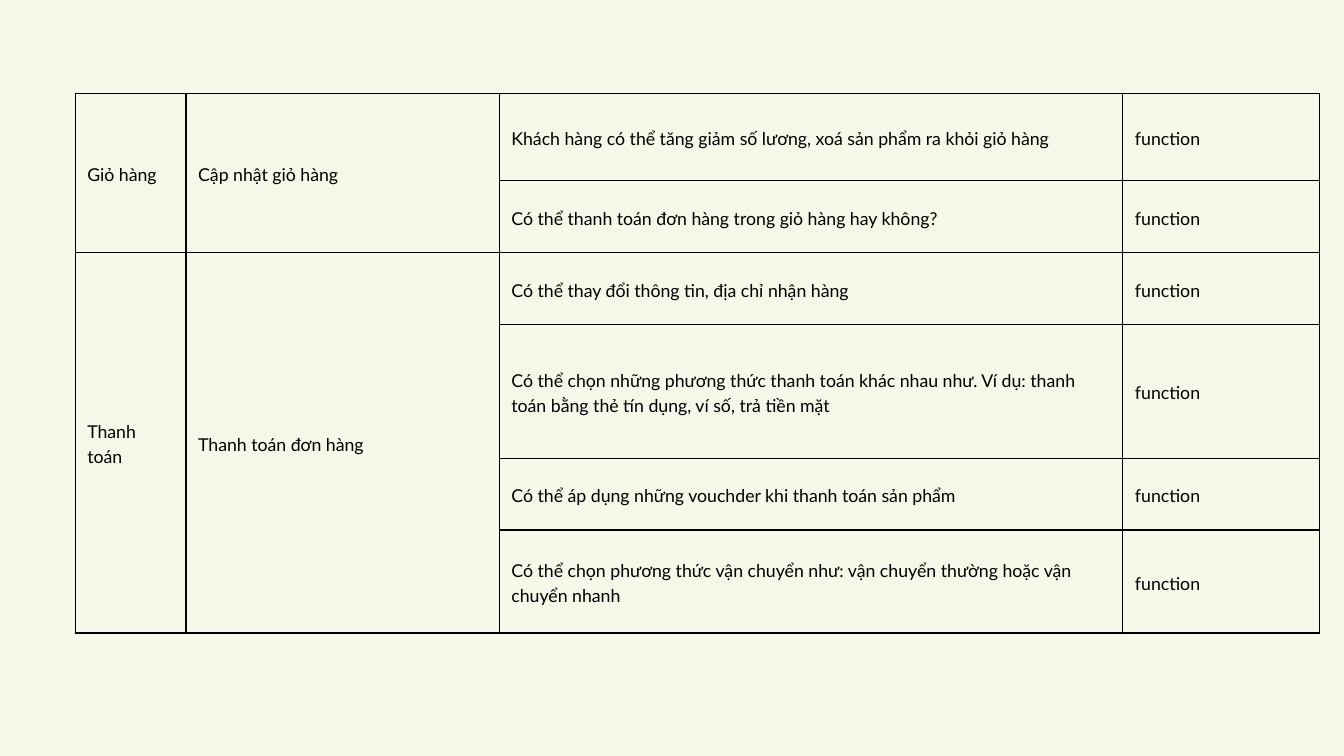
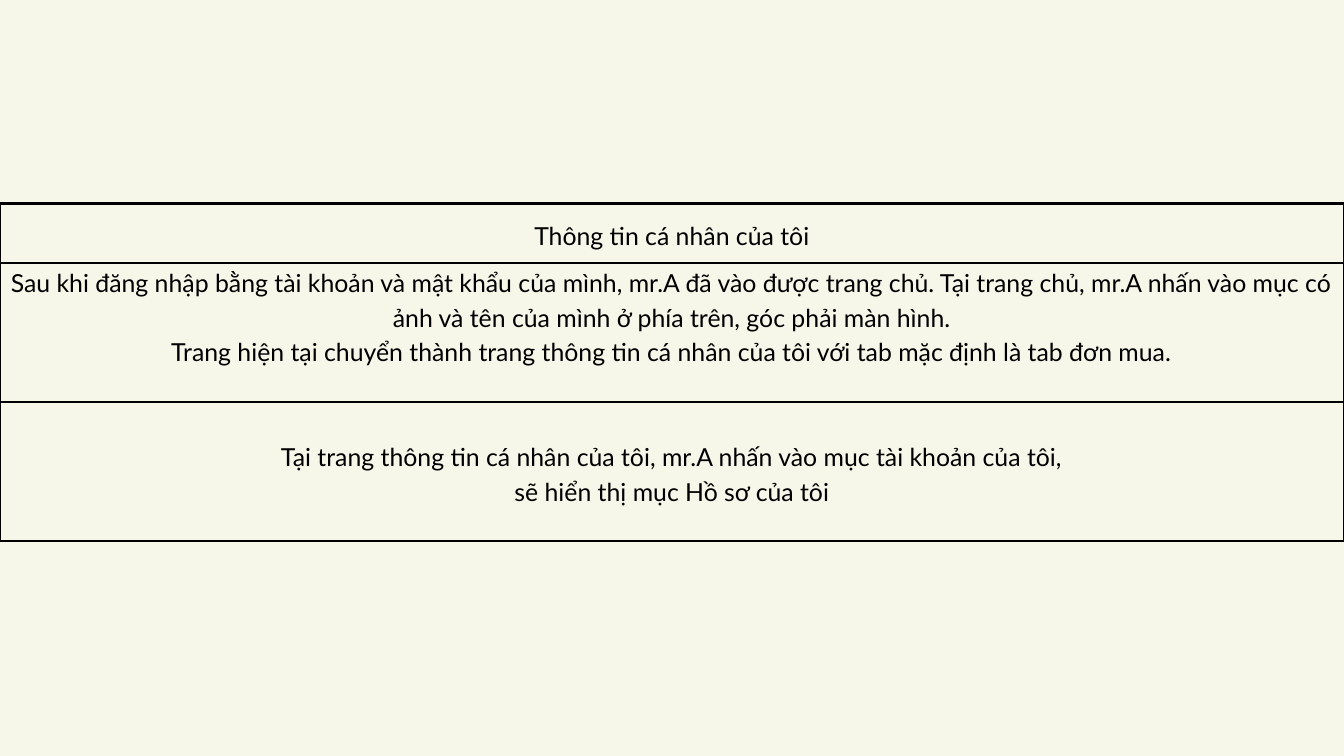
from lxml import etree
from pptx import Presentation
from pptx.dml.color import RGBColor
from pptx.enum.text import MSO_ANCHOR, PP_ALIGN
from pptx.oxml.ns import qn
from pptx.util import Cm, Pt

COLORS = {"background": "F6F6E9", "ink": "000000"}
FONT = "Lato"
BLANK_LAYOUT = 6

FEATURE_COLS = [4.19, 11.84, 23.57, 7.44]
FEATURE_ROWS = [3.3, 2.72, 2.72, 5.05, 2.72, 3.89]
FEATURES = [
    ("Giỏ hàng", "Cập nhật giỏ hàng", [
        "Khách hàng có thể tăng giảm số lương, xoá sản phẩm ra khỏi giỏ hàng",
        "Có thể thanh toán đơn hàng trong giỏ hàng hay không?",
    ]),
    ("Thanh toán", "Thanh toán đơn hàng", [
        "Có thể thay đổi thông tin, địa chỉ nhận hàng",
        "Có thể chọn những phương thức thanh toán khác nhau như. "
        "Ví dụ: thanh toán bằng thẻ tín dụng, ví số, trả tiền mặt",
        "Có thể áp dụng những vouchder khi thanh toán sản phẩm",
        "Có thể chọn phương thức vận chuyển như: "
        "vận chuyển thường hoặc vận chuyển nhanh",
    ]),
]

PROFILE_COLS = [2.74, 4.11, 5.13, 9.75, 8.33, 5.64, 4.32, 4.72, 6.06]
PROFILE_ROWS = [2.24, 5.26, 5.26]
PROFILE_STEPS = [
    (MSO_ANCHOR.MIDDLE, ["Thông tin cá nhân của tôi"]),
    (MSO_ANCHOR.TOP, [
        "Sau khi đăng nhập bằng tài khoản và mật khẩu của mình, mr.A đã vào "
        "được trang chủ. Tại trang chủ, mr.A nhấn vào mục có ảnh và tên của "
        "mình ở phía trên, góc phải màn hình.",
        "Trang hiện tại chuyển thành trang thông tin cá nhân của tôi với tab "
        "mặc định là tab đơn mua.",
    ]),
    (MSO_ANCHOR.MIDDLE, [
        "Tại trang thông tin cá nhân của tôi, mr.A nhấn vào mục tài khoản của tôi,",
        "sẽ hiển thị mục Hồ sơ của tôi",
    ]),
]


def rgb(name):
    return RGBColor.from_string(COLORS[name])


def set_borders(cell, width):
    tcPr = cell._tc.get_or_add_tcPr()
    for side in ("lnL", "lnR", "lnT", "lnB"):
        ln = etree.SubElement(tcPr, qn(f"a:{side}"), w=str(Pt(width)))
        fill = etree.SubElement(ln, qn("a:solidFill"))
        etree.SubElement(fill, qn("a:srgbClr"), val=COLORS["ink"])


def add_grid(s, left, top, cols, rows, border, margin):
    """Add an unfilled table with equal borders and cell margins."""
    frame = s.shapes.add_table(len(rows), len(cols), Cm(left), Cm(top),
                               Cm(sum(cols)), Cm(sum(rows)))
    table = frame.table
    table.first_row = table.horz_banding = False
    for column, width in zip(table.columns, cols):
        column.width = Cm(width)
    for row, height in zip(table.rows, rows):
        row.height = Cm(height)
    for cell in table.iter_cells():
        set_borders(cell, border)
        cell.fill.background()
        cell.margin_left = cell.margin_right = Cm(margin)
        cell.margin_top = cell.margin_bottom = Cm(margin)
    return table


def write_cell(cell, lines, size, spacing, align=PP_ALIGN.LEFT,
               anchor=MSO_ANCHOR.MIDDLE):
    cell.vertical_anchor = anchor
    tf = cell.text_frame
    for i, line in enumerate(lines):
        p = tf.add_paragraph() if i else tf.paragraphs[0]
        p.alignment = align
        p.line_spacing = Pt(spacing)
        r = p.add_run()
        r.text = line
        r.font.name = FONT
        r.font.size = Pt(size)
        r.font.color.rgb = rgb("ink")


def add_feature_slide(prs):
    s = prs.slides.add_slide(prs.slide_layouts[BLANK_LAYOUT])
    table = add_grid(s, 2.84, 3.53, FEATURE_COLS, FEATURE_ROWS,
                     border=1.5, margin=0.46)

    def write(row, col, text):
        write_cell(table.cell(row, col), [text], size=19, spacing=26.6)

    first = 0
    for module, feature, checks in FEATURES:
        last = first + len(checks) - 1
        for col, text in enumerate((module, feature)):
            table.cell(first, col).merge(table.cell(last, col))
            write(first, col, text)
        for row, check in enumerate(checks, first):
            write(row, 2, check)
            write(row, 3, "function")
        first = last + 1


def add_profile_slide(prs):
    s = prs.slides.add_slide(prs.slide_layouts[BLANK_LAYOUT])
    table = add_grid(s, 0, 7.7, PROFILE_COLS, PROFILE_ROWS,
                     border=3, margin=0)
    for row, (anchor, lines) in enumerate(PROFILE_STEPS):
        cell = table.cell(row, 0)
        cell.merge(table.cell(row, len(PROFILE_COLS) - 1))
        write_cell(cell, lines, size=26.6, spacing=37.2,
                   align=PP_ALIGN.CENTER, anchor=anchor)


def main():
    prs = Presentation()
    prs.slide_width, prs.slide_height = Cm(50.8), Cm(28.58)
    fill = prs.slide_master.background.fill
    fill.solid()
    fill.fore_color.rgb = rgb("background")
    add_feature_slide(prs)
    add_profile_slide(prs)
    prs.save("out.pptx")


if __name__ == "__main__":
    main()
